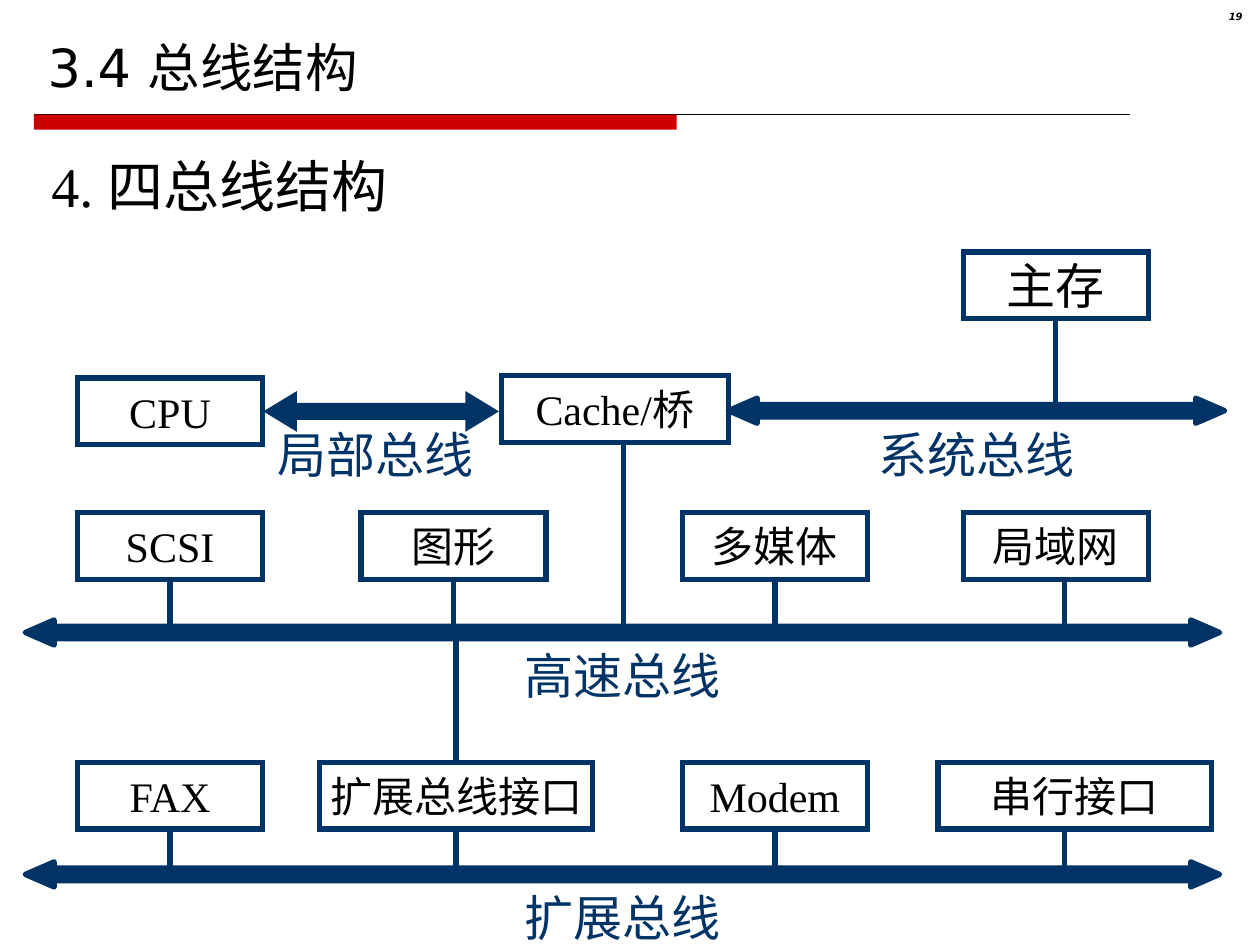
from lxml import etree
from pptx import Presentation
from pptx.dml.color import RGBColor
from pptx.enum.shapes import MSO_CONNECTOR, MSO_SHAPE
from pptx.enum.text import MSO_ANCHOR, PP_ALIGN
from pptx.oxml.ns import qn
from pptx.util import Inches, Pt

STRAIGHT = MSO_CONNECTOR.STRAIGHT
RECTANGLE = MSO_SHAPE.RECTANGLE
DOUBLE_ARROW = MSO_SHAPE.LEFT_RIGHT_ARROW
MIDDLE, BOTTOM = MSO_ANCHOR.MIDDLE, MSO_ANCHOR.BOTTOM
LEFT, CENTER, RIGHT = PP_ALIGN.LEFT, PP_ALIGN.CENTER, PP_ALIGN.RIGHT
TOP_SITE, BOTTOM_SITE = 0, 2

NAVY = RGBColor(0x00, 0x33, 0x66)
RED = RGBColor(0xCC, 0x00, 0x00)
BLACK = RGBColor(0x00, 0x00, 0x00)
SANS, SERIF, LABEL = "DejaVu Sans", "Times New Roman", "Roboto"

BOX_HEIGHT = 0.53
FAST_BUS_Y, EXPANSION_BUS_Y = 5.02, 6.94


def write_text(shape, text, size, font_name, color=BLACK, align=CENTER,
               anchor=MIDDLE, margins=(0, 0)):
    """Put one formatted, unwrapped line of text in a shape."""
    frame = shape.text_frame
    frame.text = text
    frame.word_wrap = False
    frame.vertical_anchor = anchor
    frame.margin_left = frame.margin_right = Inches(margins[0])
    frame.margin_top = frame.margin_bottom = Inches(margins[1])
    paragraph = frame.paragraphs[0]
    paragraph.alignment = align
    font = paragraph.runs[0].font
    font.size, font.name, font.color.rgb = Pt(size), font_name, color
    return paragraph


def add_text(slide, box, text, size, font_name, **options):
    """Add a text box and return its paragraph."""
    shape = slide.shapes.add_textbox(*map(Inches, box))
    return write_text(shape, text, size, font_name, **options)


def style_outline(shape, join):
    """Give a shape the navy outline with the named corner join."""
    shape.shadow.inherit = False
    shape.line.color.rgb = NAVY
    shape.line.width = Pt(3)
    corner = etree.SubElement(shape.line._get_or_add_ln(), qn(f"a:{join}"))
    if join == "miter":
        corner.set("lim", "800000")


def add_line(slide, start, end, color=NAVY, width=3):
    """Draw a straight line without a shadow."""
    line = slide.shapes.add_connector(STRAIGHT, *map(Inches, start + end))
    line.line.color.rgb = color
    line.line.width = Pt(width)
    etree.SubElement(line._element.spPr, qn("a:effectLst"))
    return line


def add_device(slide, center, top, text, width=1.47, size=24):
    """Add a labelled device box centred on the given x position."""
    box = (center - width / 2, top, width, BOX_HEIGHT)
    device = slide.shapes.add_shape(RECTANGLE, *map(Inches, box))
    device.fill.background()
    style_outline(device, "miter")
    write_text(device, text, size, SERIF if text.isascii() or "/" in text else LABEL)
    return device


def add_drop(slide, device, center, top, bus_y):
    """Join the bottom of a device to a bus below it."""
    line = add_line(slide, (center, top + BOX_HEIGHT), (center, bus_y))
    line.begin_connect(device, BOTTOM_SITE)


def add_bus(slide, left, right, middle):
    """Draw a long bus with a flat arrowhead at each end."""
    head, half_head, half_body = 0.23, 0.1, 0.05
    near, far = left + head, right - head
    upper = [(near, -half_head), (near, -half_body), (far, -half_body), (far, -half_head)]
    lower = [(x, -offset) for x, offset in reversed(upper)]
    outline = [(left, 0), *upper, (right, 0), *lower]
    points = [(Inches(x), Inches(middle + offset)) for x, offset in outline]
    builder = slide.shapes.build_freeform(*points[0], scale=1.0)
    builder.add_line_segments(points[1:], close=True)
    bus = builder.convert_to_shape()
    bus.fill.solid()
    bus.fill.fore_color.rgb = NAVY
    style_outline(bus, "round")


def add_bus_label(slide, center, top, text):
    """Name a bus below its arrow."""
    add_text(slide, (center - 1, top, 2, 0.47), text, 28, LABEL, color=NAVY)


def add_header(slide, left, top, width):
    """Add the title, its rule, the page number and the section heading."""
    add_line(slide, (left, top), (left + width, top), BLACK, 0.75)
    bar = slide.shapes.add_shape(RECTANGLE, *map(Inches, (left, top, 5.1, 0.12)))
    bar.shadow.inherit = False
    bar.fill.solid()
    bar.fill.fore_color.rgb = RED
    bar.line.fill.background()
    margins = (0.1, 0.05)
    add_text(slide, (left + 0.01, 0.12, 9.45, 0.71), "3.4 总线结构", 30, SANS,
             align=LEFT, anchor=BOTTOM, margins=margins)
    number = add_text(slide, (9.37, 0.02, 0.59, 0.23), "19", 5.7, SANS,
                      align=RIGHT, margins=margins)
    number.runs[0].font.bold = number.runs[0].font.italic = True
    add_text(slide, (0.31, 1.15, 4, 0.64), "4. 四总线结构", 32, SERIF,
             align=LEFT, margins=margins)


def add_processor_region(slide, top):
    """Draw the processor, cache and memory with their two buses."""
    bus_y = top + 0.28
    add_device(slide, 1.35, top + 0.02, "CPU")
    add_device(slide, 4.88, top, "Cache/桥", width=1.8)
    memory = add_device(slide, 8.38, top - 0.98, "主存", size=28)
    add_drop(slide, memory, 8.38, top - 0.98, bus_y)
    add_line(slide, (4.95, top + BOX_HEIGHT), (4.95, FAST_BUS_Y))
    add_bus(slide, 5.78, 9.72, bus_y)
    arrow_box = (2.13, bus_y - 0.12, 1.79, 0.25)
    arrow = slide.shapes.add_shape(DOUBLE_ARROW, *map(Inches, arrow_box))
    arrow.adjustments[0], arrow.adjustments[1] = 0.375, 0.824
    arrow.fill.solid()
    arrow.fill.fore_color.rgb = NAVY
    style_outline(arrow, "miter")
    add_bus_label(slide, 2.98, top + 0.39, "局部总线")
    add_bus_label(slide, 7.75, top + 0.39, "系统总线")


def add_device_row(slide, top, bus_y, devices, bus_label):
    """Draw a row of devices hanging on a bus and return their boxes."""
    boxes = []
    for center, drop, text, width in devices:
        device = add_device(slide, center, top, text, width)
        if drop == center:
            add_drop(slide, device, center, top, bus_y)
        else:
            add_line(slide, (drop, top + BOX_HEIGHT), (drop, bus_y))
        boxes.append(device)
    add_bus(slide, 0.2, 9.68, bus_y)
    add_bus_label(slide, 4.94, bus_y + 0.1, bus_label)
    return boxes


def main():
    """Build the bus structure slide."""
    presentation = Presentation()
    presentation.slide_width, presentation.slide_height = Inches(10), Inches(7.5)
    slide = presentation.slides.add_slide(presentation.slide_layouts[6])
    add_header(slide, 0.27, 0.91, 8.7)
    add_processor_region(slide, 2.98)
    fast_devices = [
        (1.35, 1.35, "SCSI", 1.47), (3.6, 3.6, "图形", 1.47),
        (6.15, 6.15, "多媒体", 1.47), (8.38, 8.45, "局域网", 1.47),
    ]
    expansion_devices = [
        (1.35, 1.35, "FAX", 1.47), (3.62, 3.62, "扩展总线接口", 2.17),
        (6.15, 6.15, "Modem", 1.47), (8.53, 8.45, "串行接口", 2.17),
    ]
    add_device_row(slide, 4.07, FAST_BUS_Y, fast_devices, "高速总线")
    boxes = add_device_row(slide, 6.05, EXPANSION_BUS_Y, expansion_devices, "扩展总线")
    bridge = add_line(slide, (3.62, FAST_BUS_Y), (3.62, 6.05))
    bridge.end_connect(boxes[1], TOP_SITE)
    presentation.save("out.pptx")


if __name__ == "__main__":
    main()
